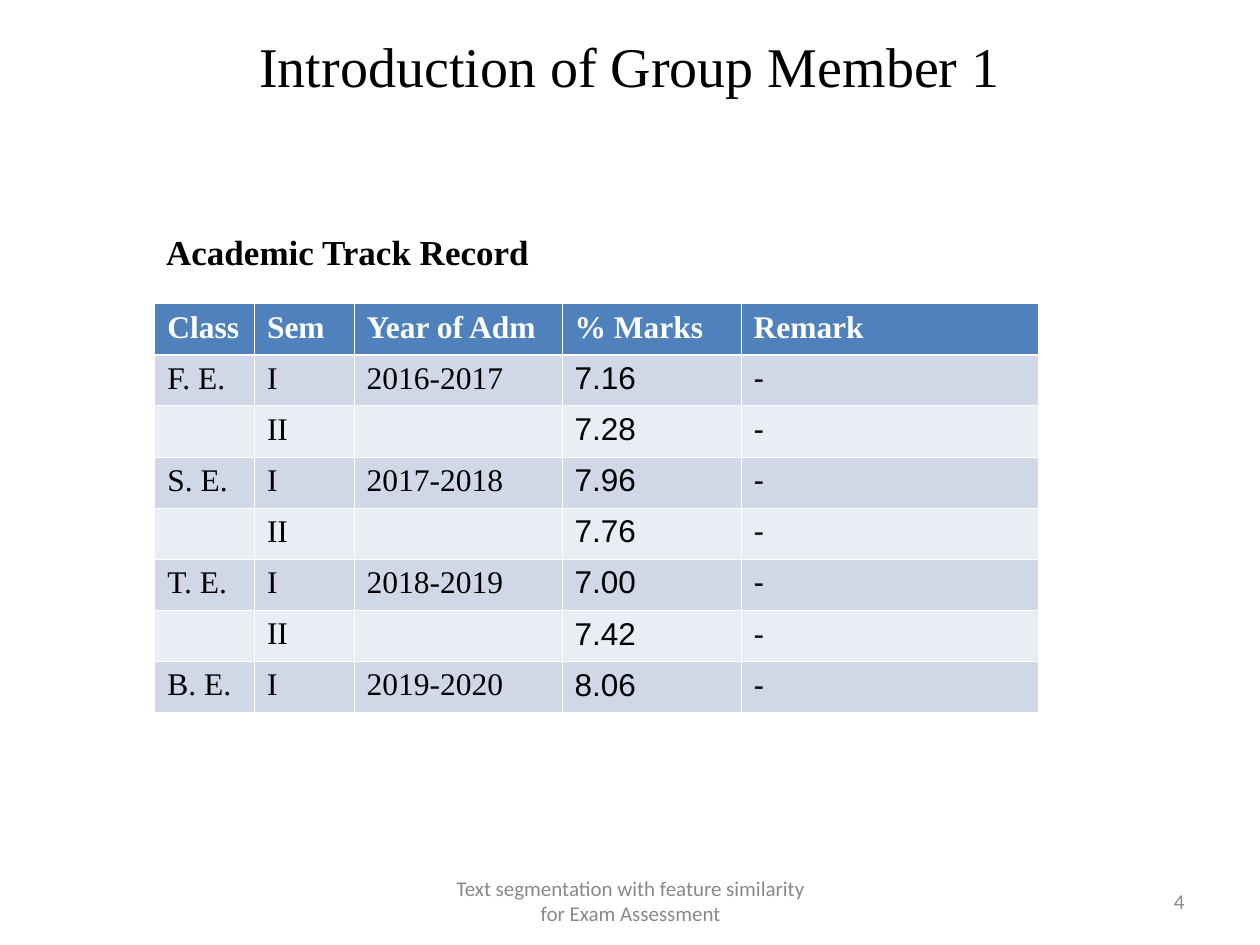
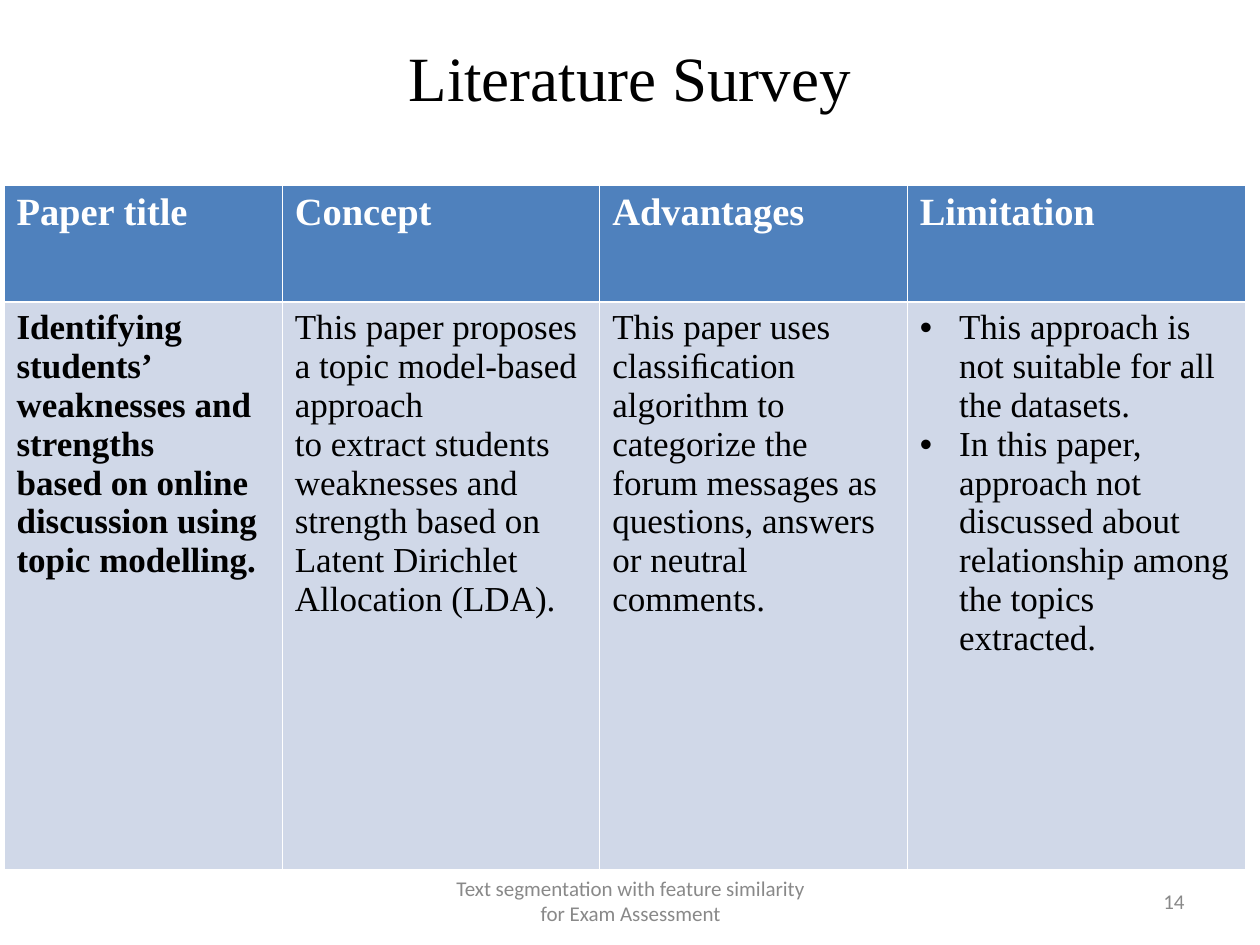
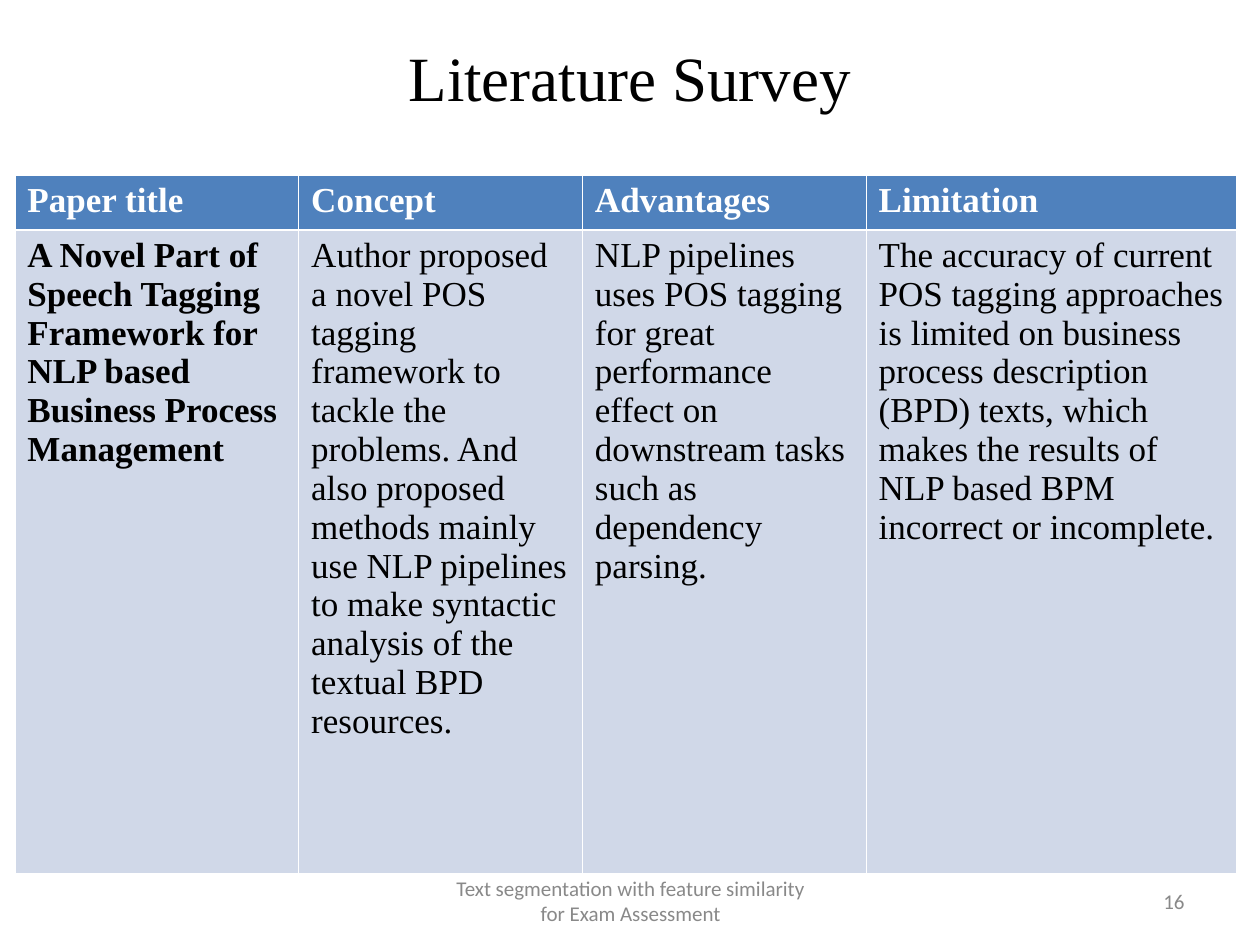
from dataclasses import dataclass

from lxml import etree
from pptx import Presentation
from pptx.dml.color import RGBColor
from pptx.enum.text import MSO_ANCHOR, PP_ALIGN
from pptx.oxml.ns import qn
from pptx.util import Cm, Pt

BLACK = RGBColor(0x00, 0x00, 0x00)
WHITE = RGBColor(0xFF, 0xFF, 0xFF)
GRAY = RGBColor(0x89, 0x89, 0x89)
HEADER_BLUE = RGBColor(0x4F, 0x81, 0xBD)
BAND_COLORS = (RGBColor(0xD0, 0xD8, 0xE8), RGBColor(0xE9, 0xED, 0xF4))

LEFT = PP_ALIGN.LEFT
CENTER = PP_ALIGN.CENTER
RIGHT = PP_ALIGN.RIGHT
JUSTIFY = PP_ALIGN.JUSTIFY
TOP = MSO_ANCHOR.TOP
MIDDLE = MSO_ANCHOR.MIDDLE

SERIF = "Times New Roman"
SANS = "Arial"
FOOTER_FONT = "Calibri"
FOOTER_TEXT = "Text segmentation with feature similarity for Exam Assessment"
THIN_BORDER = Pt(0.45)
HEADER_BORDER = Pt(1.47)
BULLET_INDENT = Cm(0.79)
SURVEY_HEADER = ("Paper title", "Concept", "Advantages", "Limitation")


@dataclass(frozen=True)
class Box:
    left: float
    top: float
    width: float
    height: float


@dataclass(frozen=True)
class TextStyle:
    size: float
    color: RGBColor = BLACK
    font_name: str = SERIF
    bold: bool = False
    alignment: PP_ALIGN = LEFT


@dataclass(frozen=True)
class TableDesign:
    left: float
    top: float
    column_widths: tuple[float, ...]
    header_height: float
    body_height: float
    header_style: TextStyle
    body_size: float
    rows: tuple[tuple[str, ...], ...]
    bold_columns: tuple[int, ...] = ()
    sans_columns: tuple[int, ...] = ()
    bullet_columns: tuple[int, ...] = ()


@dataclass(frozen=True)
class SlideContent:
    title: str
    title_box: Box
    title_size: float
    number: int
    table: TableDesign
    heading: str = ""


FOOTER_BOX = Box(8.69, 17.65, 8.05, 1.02)
NUMBER_BOX = Box(18.21, 17.65, 5.92, 1.02)
HEADING_BOX = Box(3.1, 4.52, 8.05, 1.12)
SURVEY_TITLE_BOX = Box(1.27, 0.76, 22.86, 1.55)

ACADEMIC_TABLE = TableDesign(
    3.12, 6.12, (2.01, 2.01, 4.19, 3.61, 5.99), 1.03, 1.03,
    TextStyle(18, WHITE, bold=True), 18,
    (
        ("Class", "Sem", "Year of Adm", "% Marks", "Remark"),
        ("F. E.", "I", "2016-2017", "7.16", "-"),
        ("", "II", "", "7.28", "-"),
        ("S. E.", "I", "2017-2018", "7.96", "-"),
        ("", "II", "", "7.76", "-"),
        ("T. E.", "I", "2018-2019", "7.00", "-"),
        ("", "II", "", "7.42", "-"),
        ("B. E.", "I", "2019-2020", "8.06", "-"),
    ),
    sans_columns=(3, 4),
)

TOPIC_MODEL_TABLE = TableDesign(
    0.08, 3.73, (5.61, 6.4, 6.2, 6.81), 2.36, 11.43,
    TextStyle(22, WHITE, bold=True, alignment=JUSTIFY), 20,
    (
        SURVEY_HEADER,
        (
            "Identifying students’ weaknesses and strengths\n"
            "based on online discussion using topic modelling.",
            "This paper proposes a topic model-based approach\n"
            "to extract students weaknesses and strength based on "
            "Latent Dirichlet Allocation (LDA).",
            "This paper uses classiﬁcation algorithm to categorize the forum "
            "messages as questions, answers or neutral comments.",
            "This approach is not suitable for all the datasets.\n"
            "In this paper, approach not discussed about relationship "
            "among the topics extracted.",
        ),
    ),
    bold_columns=(0,),
    bullet_columns=(3,),
)

TAGGING_TABLE = TableDesign(
    0.3, 3.53, (5.72, 5.72, 5.72, 7.47), 1.09, 12.98,
    TextStyle(20, WHITE, bold=True), 20,
    (
        SURVEY_HEADER,
        (
            "A Novel Part of Speech Tagging Framework for\n"
            "NLP based Business Process Management",
            "Author proposed a novel POS tagging framework to tackle the problems. "
            "And also proposed methods mainly use NLP pipelines to make syntactic "
            "analysis of the textual BPD resources.",
            "NLP pipelines uses POS tagging for great performance effect on "
            "downstream tasks such as dependency parsing.",
            "The accuracy of current POS tagging approaches is limited on business "
            "process description (BPD) texts, which makes the results of NLP based "
            "BPM incorrect or incomplete.",
        ),
    ),
    bold_columns=(0,),
)

SLIDES = (
    SlideContent("Introduction of Group Member 1", Box(1.27, 0.1, 22.86, 2.41), 32, 4,
                 ACADEMIC_TABLE, "Academic Track Record"),
    SlideContent("Literature Survey", SURVEY_TITLE_BOX, 36, 14, TOPIC_MODEL_TABLE),
    SlideContent("Literature Survey", SURVEY_TITLE_BOX, 36, 16, TAGGING_TABLE),
)


def style_paragraph(paragraph, style: TextStyle) -> None:
    paragraph.alignment = style.alignment
    font = paragraph.font
    font.size = Pt(style.size)
    font.name = style.font_name
    font.bold = style.bold
    font.color.rgb = style.color


def add_text(slide, box: Box, text: str, style: TextStyle,
             anchor: MSO_ANCHOR = MIDDLE, wrap: bool = True) -> None:
    shape = slide.shapes.add_textbox(
        Cm(box.left), Cm(box.top), Cm(box.width), Cm(box.height))
    frame = shape.text_frame
    frame.word_wrap = wrap
    frame.vertical_anchor = anchor
    frame.text = text
    style_paragraph(frame.paragraphs[0], style)


def add_bullet(paragraph) -> None:
    properties = paragraph._p.get_or_add_pPr()
    properties.set("marL", str(BULLET_INDENT))
    properties.set("indent", str(-BULLET_INDENT))
    etree.SubElement(properties, qn("a:buFont"), typeface=SANS)
    etree.SubElement(properties, qn("a:buChar"), char="•")


def add_borders(cell, top_width: int, bottom_width: int) -> None:
    properties = cell._tc.get_or_add_tcPr()
    widths = {"a:lnL": THIN_BORDER, "a:lnR": THIN_BORDER,
              "a:lnT": top_width, "a:lnB": bottom_width}
    for tag, width in widths.items():
        line = etree.SubElement(properties, qn(tag), w=str(int(width)))
        fill = etree.SubElement(line, qn("a:solidFill"))
        etree.SubElement(fill, qn("a:srgbClr"), val=str(WHITE))


def fill_cell(cell, text: str, row: int, column: int, design: TableDesign) -> None:
    is_header = row == 0
    add_borders(cell,
                HEADER_BORDER if row == 1 else THIN_BORDER,
                HEADER_BORDER if is_header else THIN_BORDER)
    cell.fill.solid()
    cell.fill.fore_color.rgb = HEADER_BLUE if is_header else BAND_COLORS[(row - 1) % 2]
    cell.text = text
    style = design.header_style if is_header else TextStyle(
        design.body_size,
        font_name=SANS if column in design.sans_columns else SERIF,
        bold=column in design.bold_columns)
    for paragraph in cell.text_frame.paragraphs:
        if not is_header and column in design.bullet_columns:
            add_bullet(paragraph)
        style_paragraph(paragraph, style)


def draw_table(slide, design: TableDesign) -> None:
    heights = [design.header_height] + [design.body_height] * (len(design.rows) - 1)
    table = slide.shapes.add_table(
        len(design.rows), len(design.column_widths), Cm(design.left), Cm(design.top),
        Cm(sum(design.column_widths)), Cm(sum(heights))).table
    table.horz_banding = False
    for column, width in zip(table.columns, design.column_widths):
        column.width = Cm(width)
    for row, height in zip(table.rows, heights):
        row.height = Cm(height)
    for row_index, texts in enumerate(design.rows):
        for column_index, text in enumerate(texts):
            fill_cell(table.cell(row_index, column_index), text,
                      row_index, column_index, design)


def draw_slide(presentation, content: SlideContent) -> None:
    slide = presentation.slides.add_slide(presentation.slide_layouts[6])
    add_text(slide, content.title_box, content.title,
             TextStyle(content.title_size, alignment=CENTER))
    draw_table(slide, content.table)
    if content.heading:
        add_text(slide, HEADING_BOX, content.heading, TextStyle(20, bold=True),
                 anchor=TOP, wrap=False)
    add_text(slide, FOOTER_BOX, FOOTER_TEXT,
             TextStyle(12, GRAY, FOOTER_FONT, alignment=CENTER))
    add_text(slide, NUMBER_BOX, str(content.number),
             TextStyle(12, GRAY, FOOTER_FONT, alignment=RIGHT))


def main() -> None:
    presentation = Presentation()
    presentation.slide_width = Cm(25.4)
    presentation.slide_height = Cm(19.05)
    for content in SLIDES:
        draw_slide(presentation, content)
    presentation.save("out.pptx")


if __name__ == "__main__":
    main()
